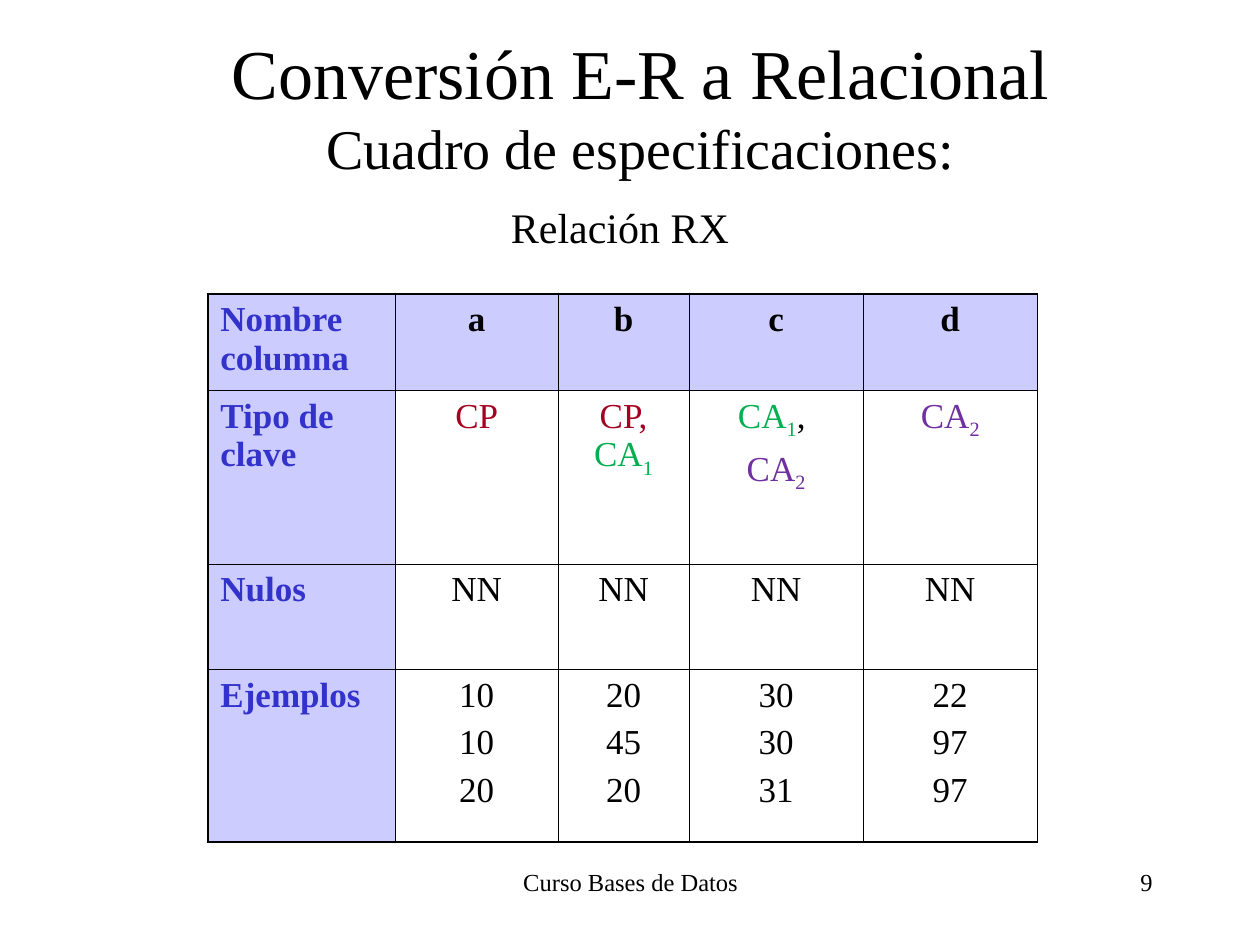
import lxml.etree
import pptx
import pptx.dml.color
import pptx.enum.text
import pptx.oxml.ns
import pptx.util

Cm = pptx.util.Cm
Pt = pptx.util.Pt
ALIGN = pptx.enum.text.PP_ALIGN
ANCHOR = pptx.enum.text.MSO_ANCHOR

FONT = "Times New Roman"
COLORS = {
    "black": "000000",
    "heading": "3333CC",
    "header_fill": "CCCCFF",
    "primary": "A50021",
    "alternate_1": "00B050",
    "alternate_2": "7030A0",
}

# Content: a run is (text, colour name, is subscript)
TITLE_LINES = [("Conversión E-R a Relacional", 40), ("Cuadro de especificaciones:", 32)]
TITLE_BOX = (2.12, 0.53, 21.59, 3.18)

TEXT_BOXES = [
    {"text": "Relación RX", "box": (4.7, 3.94, 15.6, 1.27), "size": 24,
     "alignment": ALIGN.CENTER, "before": 15},
    {"text": "Curso Bases de Datos", "box": (8.69, 17.35, 8.05, 1.27), "size": 14,
     "alignment": ALIGN.CENTER, "before": 0},
    {"text": "9", "box": (18.21, 17.35, 5.28, 1.27), "size": 14,
     "alignment": ALIGN.RIGHT, "before": 0},
]

KEY_1 = [("CA", "alternate_1", False), ("1", "alternate_1", True)]
KEY_2 = [("CA", "alternate_2", False), ("2", "alternate_2", True)]

# A cell is a plain string, or a list of paragraphs (strings or lists of runs)
TABLE_ROWS = [
    ["Nombre columna", "a", "b", "c", "d"],
    ["Tipo de clave",
     [[("CP", "primary", False)]],
     [[("CP, ", "primary", False)] + KEY_1],
     [KEY_1 + [(", ", "black", False)], KEY_2],
     [KEY_2]],
    ["Nulos", "NN", "NN", "NN", "NN"],
    ["Ejemplos", ["10", "10", "20"], ["20", "45", "20"],
     ["30", "30", "31"], ["22", "97", "97"]],
]
TABLE_LEFT, TABLE_TOP = 4.19, 5.92
COLUMN_WIDTHS = [3.78, 3.28, 2.64, 3.51, 3.51]
ROW_HEIGHTS = [1.95, 3.5, 2.13, 3.48]
THIN, THICK = 0.45, 1.08


def rgb(name):
    return pptx.dml.color.RGBColor.from_string(COLORS[name])


def add_run(paragraph, text, size, color="black", bold=False, subscript=False):
    run = paragraph.add_run()
    run.text = text
    font_format = {"name": FONT, "size": Pt(size), "bold": bold}
    for attribute, value in font_format.items():
        setattr(run.font, attribute, value)
    run.font.color.rgb = rgb(color)
    if subscript:
        run._r.get_or_add_rPr().set("baseline", "-25000")


def format_frame(frame, anchor):
    frame_format = {"word_wrap": True, "vertical_anchor": anchor,
                    "auto_size": pptx.enum.text.MSO_AUTO_SIZE.NONE}
    for attribute, value in frame_format.items():
        setattr(frame, attribute, value)


def set_borders(cell, widths):
    properties = cell._tc.get_or_add_tcPr()
    for side, width in widths.items():
        line = lxml.etree.SubElement(properties, pptx.oxml.ns.qn(f"a:ln{side}"),
                                     w=str(Pt(width)))
        fill = lxml.etree.SubElement(line, pptx.oxml.ns.qn("a:solidFill"))
        lxml.etree.SubElement(fill, pptx.oxml.ns.qn("a:srgbClr"), val=COLORS["black"])


def fill_cell(cell, content, row, column):
    is_label = column == 0
    is_header = row == 0
    last_row = len(TABLE_ROWS) - 1
    set_borders(cell, {
        "L": THICK if is_label else THIN,
        "R": THIN,
        "T": THICK if is_header else THIN,
        "B": THICK if row == last_row else THIN,
    })
    if is_label or is_header:
        cell.fill.solid()
        cell.fill.fore_color.rgb = rgb("header_fill")
    else:
        cell.fill.background()

    color = "heading" if is_label else "black"
    paragraphs = [content] if isinstance(content, str) else content
    for index, runs in enumerate(paragraphs):
        frame = cell.text_frame
        paragraph = frame.add_paragraph() if index else frame.paragraphs[0]
        paragraph.alignment = ALIGN.LEFT if is_label else ALIGN.CENTER
        paragraph.space_before = Pt(5)
        if isinstance(runs, str):
            runs = [(runs, color, False)]
        for text, run_color, subscript in runs:
            add_run(paragraph, text, 20, run_color, is_label or is_header, subscript)


def main():
    presentation = pptx.Presentation()
    presentation.slide_width = Cm(25.4)
    presentation.slide_height = Cm(19.05)
    slide = presentation.slides.add_slide(presentation.slide_layouts[5])

    # Title
    title = slide.shapes.title
    for attribute, value in zip(("left", "top", "width", "height"), TITLE_BOX):
        setattr(title, attribute, Cm(value))
    format_frame(title.text_frame, ANCHOR.MIDDLE)
    paragraph = title.text_frame.paragraphs[0]
    paragraph.alignment = ALIGN.CENTER
    for index, (text, size) in enumerate(TITLE_LINES):
        if index:
            paragraph.add_line_break()
        add_run(paragraph, text, size)

    # Subtitle, footer and page number
    for item in TEXT_BOXES:
        shape = slide.shapes.add_textbox(*map(Cm, item["box"]))
        format_frame(shape.text_frame, ANCHOR.TOP)
        paragraph = shape.text_frame.paragraphs[0]
        paragraph.alignment = item["alignment"]
        paragraph.space_before = Pt(item["before"])
        add_run(paragraph, item["text"], item["size"])

    # Specification table
    table = slide.shapes.add_table(
        len(ROW_HEIGHTS), len(COLUMN_WIDTHS), Cm(TABLE_LEFT), Cm(TABLE_TOP),
        Cm(sum(COLUMN_WIDTHS)), Cm(sum(ROW_HEIGHTS))).table
    table.first_row = False
    table.horz_banding = False
    for column, width in zip(table.columns, COLUMN_WIDTHS):
        column.width = Cm(width)
    for row, height in zip(table.rows, ROW_HEIGHTS):
        row.height = Cm(height)
    for row_index, contents in enumerate(TABLE_ROWS):
        for column_index, content in enumerate(contents):
            fill_cell(table.cell(row_index, column_index), content,
                      row_index, column_index)

    presentation.save("out.pptx")


if __name__ == "__main__":
    main()
